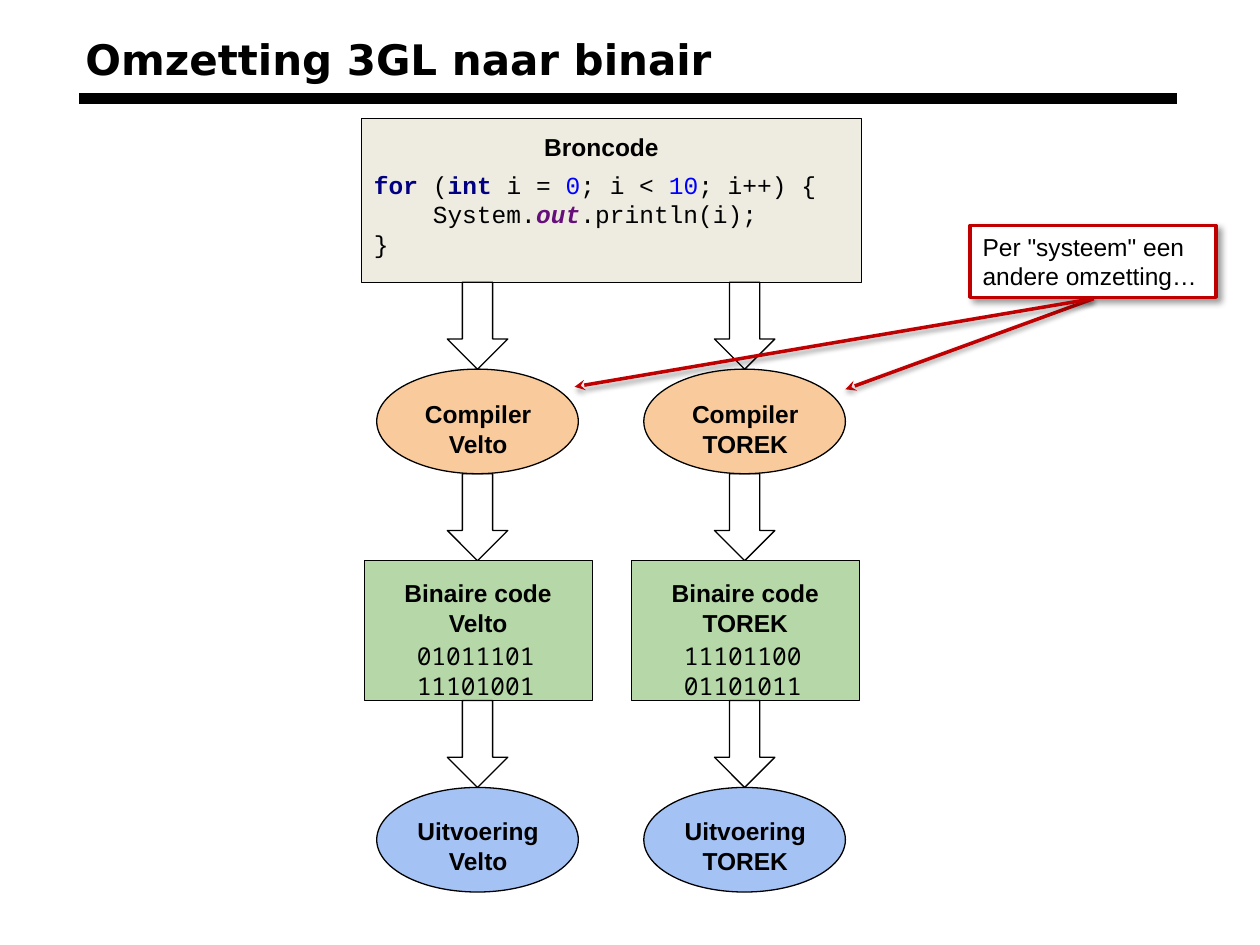
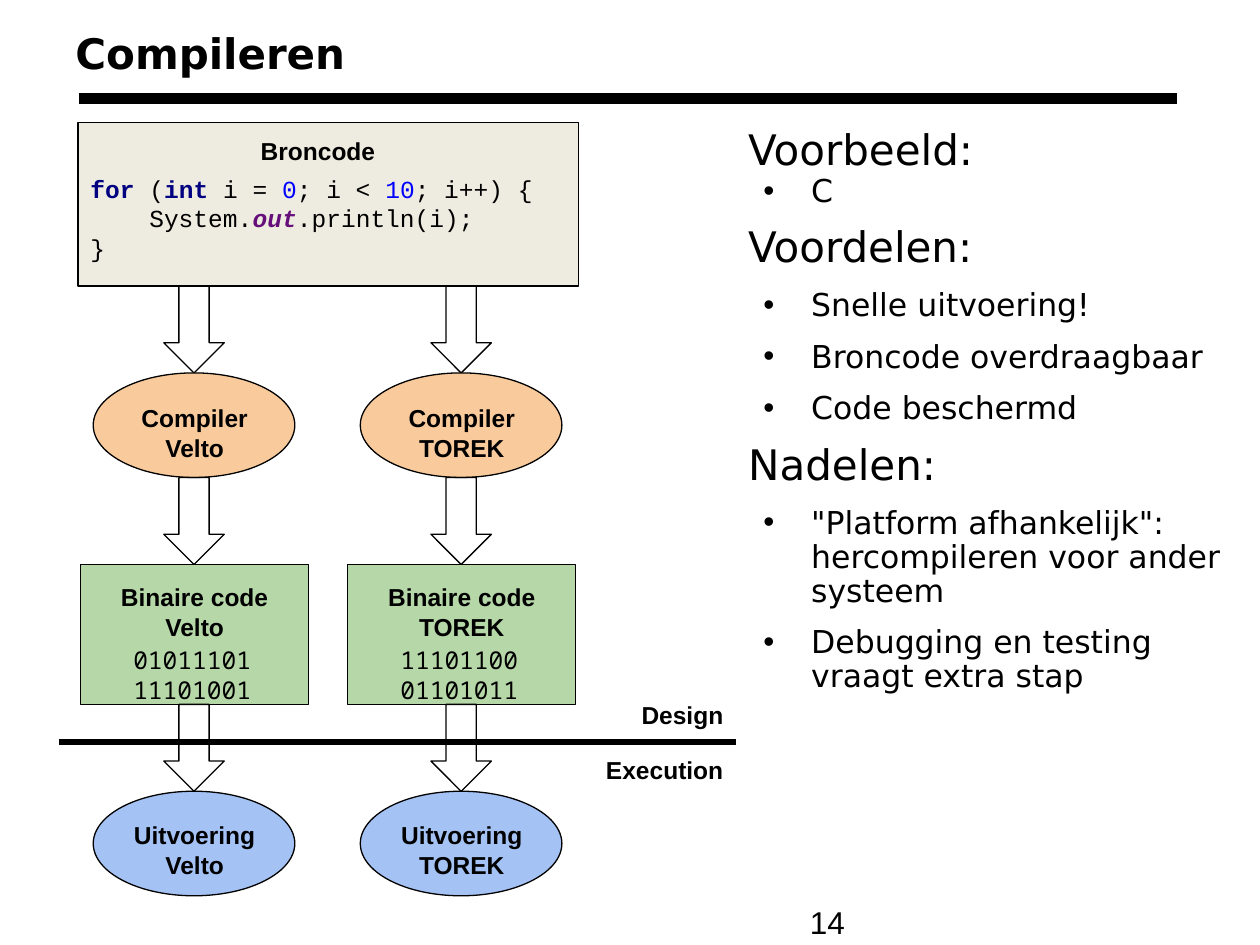
import pptx
import pptx.dml.color
import pptx.enum.shapes
import pptx.enum.text
import pptx.oxml
import pptx.oxml.ns
import pptx.util
from lxml import etree

SHAPE = pptx.enum.shapes.MSO_SHAPE
STRAIGHT = pptx.enum.shapes.MSO_CONNECTOR.STRAIGHT
ALIGN = pptx.enum.text.PP_ALIGN
ANCHOR = pptx.enum.text.MSO_ANCHOR
Pt = pptx.util.Pt
qn = pptx.oxml.ns.qn

deck = pptx.Presentation()
deck.slide_width = pptx.util.Inches(10)
deck.slide_height = pptx.util.Inches(7.5)
# The slide is a grid of 1000 columns by 750 rows of square cells.
CELL = deck.slide_width // 1000

BLACK, RED, WHITE = "000000", "C00000", "FFFFFF"
SAND, ORANGE, GREEN, BLUE = "EEECE1", "F9CB9C", "B6D7A8", "A4C2F4"
KEYWORD, NUMBER, FIELD = "000080", "0000FF", "660E7A"
SANS, HEADING, CODE, BITS = "Arial", "DejaVu Sans", "Courier New", "Noto Sans Mono"


def rgb(code):
    return pptx.dml.color.RGBColor.from_string(code)


def write(box, text, font=SANS, size=14, bold=False, italic=False, color=BLACK,
          align=ALIGN.LEFT, anchor=ANCHOR.TOP, inset=10):
    """Append text to the box's last paragraph; each newline starts another one."""
    frame = box.text_frame
    frame.word_wrap = True
    frame.vertical_anchor = anchor
    frame.margin_left = frame.margin_right = 10 * CELL
    frame.margin_top = frame.margin_bottom = inset * CELL
    for index, line in enumerate(text.split("\n")):
        para = frame.add_paragraph() if index else frame.paragraphs[-1]
        para.alignment = align
        if line:
            span = para.add_run()
            span.text = line
            span.font.name, span.font.size = font, Pt(size)
            span.font.bold, span.font.italic = bold, italic
            span.font.color.rgb = rgb(color)


source_code = [
    ("for ", KEYWORD), ("(", BLACK), ("int ", KEYWORD), ("i = ", BLACK),
    ("0", NUMBER), ("; i < ", BLACK), ("10", NUMBER),
    ("; i++) {\n    System.", BLACK), ("out", FIELD), (".println(i);\n}", BLACK),
]
# Each lane: processor, centre within the diagram, binary code.
lanes = [("Velto", 92, "01011101\n11101001"), ("TOREK", 304, "11101100\n01101011")]
# Each stage: outline, fill, width, height, label, label offset.
stages = [
    (SHAPE.OVAL, ORANGE, 160, 83, "Compiler", 14),
    (SHAPE.RECTANGLE, GREEN, 181, 111, "Binaire code", 4),
    (SHAPE.OVAL, BLUE, 160, 83, "Uitvoering", 13),
]
SOURCE_WIDTH, SOURCE_HEIGHT = 397, 130
ARROW_WIDTH, ARROW_HEIGHT = 48, 69
LABEL_WIDTH, BITS_WIDTH, LABEL_HEIGHT = 139, 117, 57

# Each slide: title, its left and top, the diagram's left and top.
slides = [
    ("Omzetting 3GL naar binair", 58, 22, 287, 94),
    ("Compileren", 50, 17, 62, 97),
]
pages = []
for title, title_left, title_top, left, top in slides:
    page = deck.slides.add_slide(deck.slide_layouts[6])
    pages.append(page)

    rule = page.shapes.add_connector(STRAIGHT, 63 * CELL, 78 * CELL, 934 * CELL, 78 * CELL)
    rule.line.color.rgb = rgb(BLACK)
    rule.line.width = Pt(6)
    etree.SubElement(rule._element.spPr, qn("a:effectLst"))
    heading = page.shapes.add_textbox(title_left * CELL, title_top * CELL, 854 * CELL, 57 * CELL)
    write(heading, title, font=HEADING, size=24, bold=True, inset=5)

    outlined = []
    source = page.shapes.add_group_shape()
    panel = source.shapes.add_shape(SHAPE.RECTANGLE, left * CELL, top * CELL,
                                    SOURCE_WIDTH * CELL, SOURCE_HEIGHT * CELL)
    outlined.append((panel, SAND))
    listing = source.shapes.add_textbox(left * CELL, (top + 26) * CELL,
                                        SOURCE_WIDTH * CELL, 100 * CELL)
    for text, color in source_code:
        write(listing, text, font=CODE, color=color, bold=color in (KEYWORD, FIELD),
              italic=color == FIELD, anchor=ANCHOR.MIDDLE, inset=5)
    caption = source.shapes.add_textbox((left + 135) * CELL, (top + 1) * CELL,
                                        128 * CELL, 40 * CELL)
    write(caption, "Broncode", bold=True)

    for processor, offset, bits in lanes:
        centre = left + offset
        stage_top = top + SOURCE_HEIGHT
        for outline, fill, width, height, label, label_offset in stages:
            arrow = page.shapes.add_shape(
                SHAPE.DOWN_ARROW, (centre - ARROW_WIDTH // 2) * CELL, stage_top * CELL,
                ARROW_WIDTH * CELL, ARROW_HEIGHT * CELL)
            outlined.append((arrow, None))
            stage_top += ARROW_HEIGHT

            stage = page.shapes.add_group_shape()
            body = stage.shapes.add_shape(outline, (centre - width // 2) * CELL,
                                          stage_top * CELL, width * CELL, height * CELL)
            outlined.append((body, fill))
            name = stage.shapes.add_textbox(
                (centre - LABEL_WIDTH // 2) * CELL, (stage_top + label_offset) * CELL,
                LABEL_WIDTH * CELL, LABEL_HEIGHT * CELL)
            write(name, f"{label}\n{processor}", bold=True, align=ALIGN.CENTER)
            if fill == GREEN:
                binary = stage.shapes.add_textbox(
                    (centre - BITS_WIDTH // 2) * CELL, (stage_top + 54) * CELL,
                    BITS_WIDTH * CELL, LABEL_HEIGHT * CELL)
                write(binary, bits, font=BITS)
            stage_top += height

    for shape, fill in outlined:
        shape.shadow.inherit = False
        shape.line.color.rgb = rgb(BLACK)
        shape.line.width = Pt(0.75)
        if fill:
            shape.fill.solid()
            shape.fill.fore_color.rgb = rgb(fill)
        else:
            shape.fill.background()

conversion, compiling = pages

# Callout with a pointer to each compiler
callout = conversion.shapes.add_shape(SHAPE.RECTANGLE, 770 * CELL, 179 * CELL,
                                      195 * CELL, 57 * CELL)
callout.fill.solid()
callout.fill.fore_color.rgb = rgb(WHITE)
write(callout, 'Per "systeem" een andere omzetting…', inset=5)
shadowed = [(callout, 40, 4, 3, 45)]
for tip_x, tip_y in [(671, 309), (456, 307)]:
    pointer = conversion.shapes.add_connector(STRAIGHT, 868 * CELL, 237 * CELL,
                                              tip_x * CELL, tip_y * CELL)
    shadowed.append((pointer, 38, 3.1, 1.6, 90))
for shape, alpha, blur, distance, angle in shadowed:
    shape.line.color.rgb = rgb(RED)
    shape.line.width = Pt(2)
    if shape is not callout:
        etree.SubElement(shape.line._get_or_add_ln(), qn("a:tailEnd"), type="stealth")
    effects = etree.SubElement(shape._element.spPr, qn("a:effectLst"))
    shadow = etree.SubElement(effects, qn("a:outerShdw"), blurRad=str(Pt(blur)),
                              dist=str(Pt(distance)), dir=str(angle * 60000),
                              rotWithShape="0")
    tint = etree.SubElement(shadow, qn("a:srgbClr"), val=BLACK)
    etree.SubElement(tint, qn("a:alpha"), val=str(alpha * 1000))

# Border between design and execution
border = compiling.shapes.add_connector(STRAIGHT, 47 * CELL, 589 * CELL, 584 * CELL, 589 * CELL)
border.line.color.rgb = rgb(BLACK)
border.line.width = Pt(3)
etree.SubElement(border._element.spPr, qn("a:effectLst"))
for phase, phase_top, anchor in [("Design", 532, ANCHOR.BOTTOM), ("Execution", 589, ANCHOR.TOP)]:
    side = compiling.shapes.add_textbox(431 * CELL, phase_top * CELL, 153 * CELL, 57 * CELL)
    write(side, phase, bold=True, align=ALIGN.RIGHT, anchor=anchor)

# Assessment: topics and their bullet points
assessment = [
    ("Voorbeeld:", ["C"]),
    ("Voordelen:", ["Snelle uitvoering!", "Broncode overdraagbaar", "Code beschermd"]),
    ("Nadelen:", ['"Platform afhankelijk": hercompileren voor ander systeem',
                  "Debugging en testing vraagt extra stap"]),
]
review = compiling.shapes.add_textbox(584 * CELL, 98 * CELL, 406 * CELL, 478 * CELL)
for topic, points in assessment:
    first = topic == assessment[0][0]
    for text in [topic, *points]:
        is_topic = text == topic
        lead = "" if first and is_topic else "\n"
        write(review, lead + text, font=HEADING, size=24 if is_topic else 18, inset=5)
        para = review.text_frame.paragraphs[-1]
        para.line_spacing = 0.9
        para.space_before = Pt(0 if first else 10)
        if not is_topic:
            settings = para._p.get_or_add_pPr()
            settings.set("marL", str(50 * CELL))
            settings.set("indent", str(-38 * CELL))
            etree.SubElement(settings, qn("a:buFont"), typeface=SANS)
            etree.SubElement(settings, qn("a:buChar"), char="•")

number = compiling.shapes.add_textbox(633 * CELL, 712 * CELL, 92 * CELL, 40 * CELL)
write(number, "14", size=18, inset=5)

deck.save("out.pptx")
